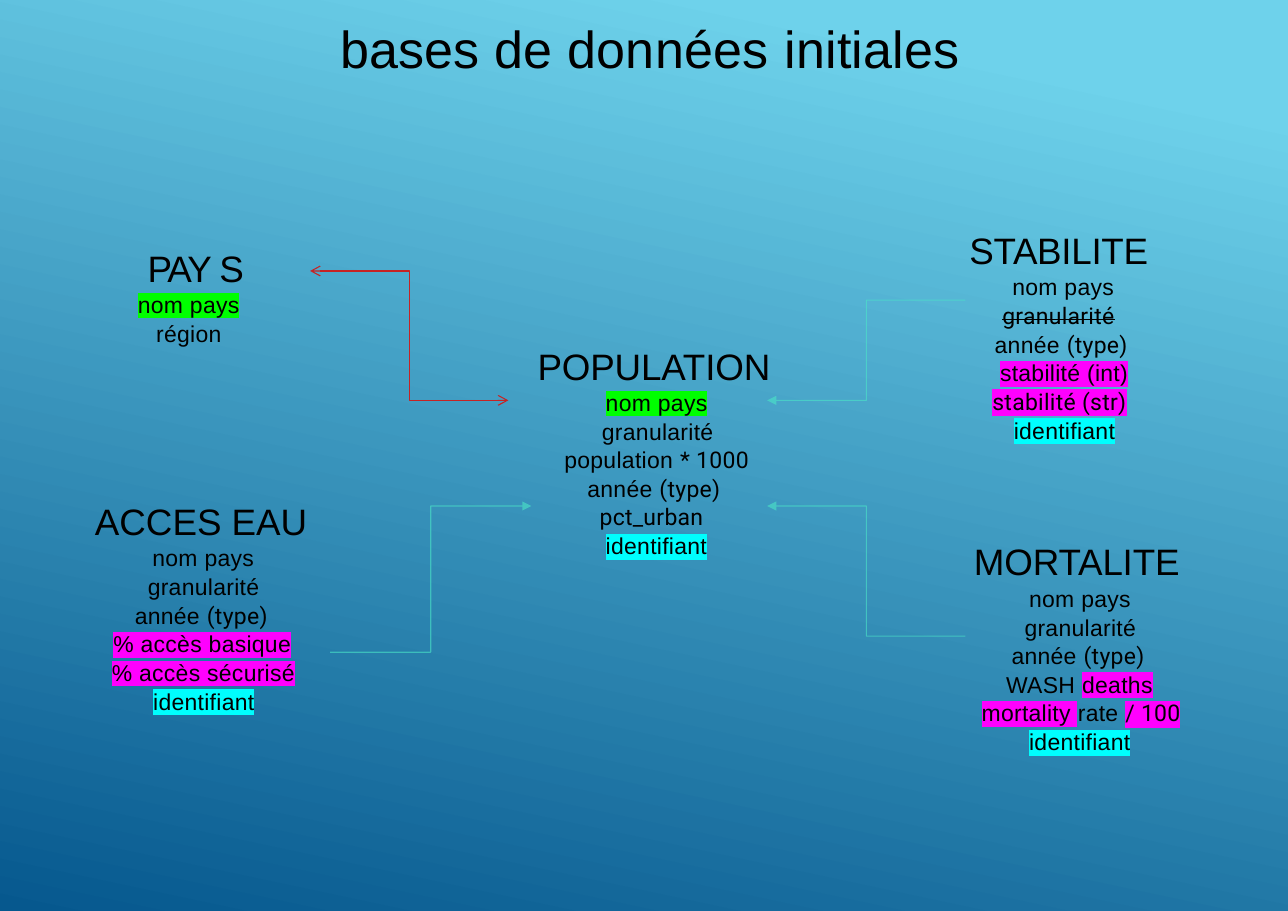
import pptx
import pptx.dml.color
import pptx.enum.shapes
import pptx.oxml
import pptx.oxml.ns
import pptx.util

Pt = pptx.util.Pt
COLORS = {
    "text": "000000", "sky": "6ED2EB", "deep": "06588E",
    "green": "00FF00", "pink": "FF00FE", "cyan": "00FEFE",
    "teal": "4BE7C8", "red": "C62324",
}
SANS, ROBOTO = "Arial", "Roboto"
COUNTRY = ("nom pays",)
GRAIN = ("granularité",)
YEAR = (("année ",), ("(type)", ROBOTO))
KEY = ("identifiant", SANS, "cyan")

TABLES = [
    ((90, 165, 80, 65), [(6.5, ("PAY ", -1.3), ("S", 0))], [
        (0, ("nom pays", SANS, "green")),
        (12, ("région",)),
    ]),
    ((633, 153.5, 136, 139), [(0, ("STABILITE", -0.2))], [
        (28, COUNTRY),
        (21.5, ("granularité", ROBOTO, None, True)),
        (16.5, *YEAR),
        (20, ("stabilité (int)", SANS, "pink")),
        (15, ("stabilité (str)", ROBOTO, "pink")),
        (29, KEY),
    ]),
    ((351, 229, 170, 139), [(0, ("POPULATION", -0.1))], [
        (44.5, ("nom pays", SANS, "green")),
        (42, GRAIN),
        (17.5, ("population ",), ("* 1000", ROBOTO)),
        (32.5, *YEAR),
        (40.5, ("pct_urban", ROBOTO)),
        (44.5, KEY),
    ]),
    ((62, 330.5, 154, 139), [(0, ("ACCES EAU", 0))], [
        (37.5, COUNTRY),
        (34.5, GRAIN),
        (26, *YEAR),
        (12, ("% accès basique", SANS, "pink")),
        (11, ("% accès sécurisé", SANS, "pink")),
        (38, KEY),
    ]),
    ((636, 357, 152, 139), [(0, ("MORTALITE", -0.1))], [
        (36, COUNTRY),
        (33, GRAIN),
        (24.5, *YEAR),
        (21, ("WASH ",), ("deaths", SANS, "pink")),
        (5, ("mortality ", SANS, "pink"), ("rate ",), ("/ 100", ROBOTO, "pink")),
        (36, KEY),
    ]),
]

LINKS = [
    ((630.5, 415.5), (501, 330.5), "teal", {"tailEnd": "triangle"}),
    ((332, 261.5), (202.5, 177), "red", {"headEnd": "arrow", "tailEnd": "arrow"}),
    ((630.5, 196), (501, 261.5), "teal", {"tailEnd": "triangle"}),
    ((215.5, 426), (347, 330.5), "teal", {"tailEnd": "triangle"}),
]


def rgb(name):
    return pptx.dml.color.RGBColor.from_string(COLORS[name])


def add_child(parent, tag, **attributes):
    child = pptx.oxml.ns.qn(tag)
    element = parent.makeelement(child, attributes)
    parent.append(element)
    return element


def add_text_frame(slide, box):
    frame = slide.shapes.add_textbox(*map(Pt, box)).text_frame
    frame.word_wrap = True
    frame.margin_left = frame.margin_top = frame.margin_right = frame.margin_bottom = 0
    return frame


def add_run(paragraph, text, size, spacing, font=SANS, highlight=None, struck=False):
    run = paragraph.add_run()
    run.text = text
    run.font.size = Pt(size)
    run.font.color.rgb = rgb("text")
    properties = run.font._element
    properties.set("spc", str(round(spacing * 100)))
    if struck:
        properties.set("strike", "sngStrike")
    if highlight:
        mark = add_child(properties, "a:highlight")
        add_child(mark, "a:srgbClr", val=COLORS[highlight])
    run.font.name = font


def set_paragraph(paragraph, line_height, indent=0, before=0):
    paragraph.line_spacing = Pt(line_height)
    paragraph.space_before = Pt(before)
    paragraph._p.get_or_add_pPr().set("marL", str(Pt(indent)))


def add_title(slide, box):
    paragraph = add_text_frame(slide, box).paragraphs[0]
    set_paragraph(paragraph, 34)
    add_run(paragraph, "bases de données ", 34, 0.2)
    add_run(paragraph, "initiales", 34, 0.1)


def add_database(slide, box, headings, fields):
    frame = add_text_frame(slide, box)
    for indent, *runs in headings:
        paragraph = frame.paragraphs[0]
        set_paragraph(paragraph, 24, indent)
        for text, spacing in runs:
            add_run(paragraph, text, 24, spacing)
    for indent, *runs in fields:
        paragraph = frame.add_paragraph()
        set_paragraph(paragraph, 15, indent, 3.7)
        for text, *style in runs:
            add_run(paragraph, text, 15, 0.2, *style)


def add_link(slide, start, end, color, arrowheads):
    elbow = pptx.enum.shapes.MSO_CONNECTOR.ELBOW
    connector = slide.shapes.add_connector(elbow, *map(Pt, start + end))
    connector.line.width = Pt(0.75)
    connector.line.color.rgb = rgb(color)
    line = connector.line._get_or_add_ln()
    if color == "teal":
        shade = line.find(".//" + pptx.oxml.ns.qn("a:srgbClr"))
        add_child(shade, "a:alpha", val="60000")
    for end_name, kind in arrowheads.items():
        add_child(line, "a:" + end_name, type=kind)
    add_child(connector._element.spPr, "a:effectLst")


def paint_background(slide):
    fill = slide.background.fill
    fill.gradient()
    fill.gradient_angle = 258
    for stop, position, color in zip(fill.gradient_stops, (0.1, 1), ("sky", "deep")):
        stop.position = position
        stop.color.rgb = rgb(color)


def build_schema_slide(presentation):
    slide = presentation.slides.add_slide(presentation.slide_layouts[6])
    paint_background(slide)
    add_title(slide, (222, 17.5, 447, 37))
    for table in TABLES:
        add_database(slide, *table)
    for link in LINKS:
        add_link(slide, *link)


def main():
    presentation = pptx.Presentation()
    presentation.slide_width = Pt(841)
    presentation.slide_height = Pt(595)
    build_schema_slide(presentation)
    presentation.save("out.pptx")


if __name__ == "__main__":
    main()
